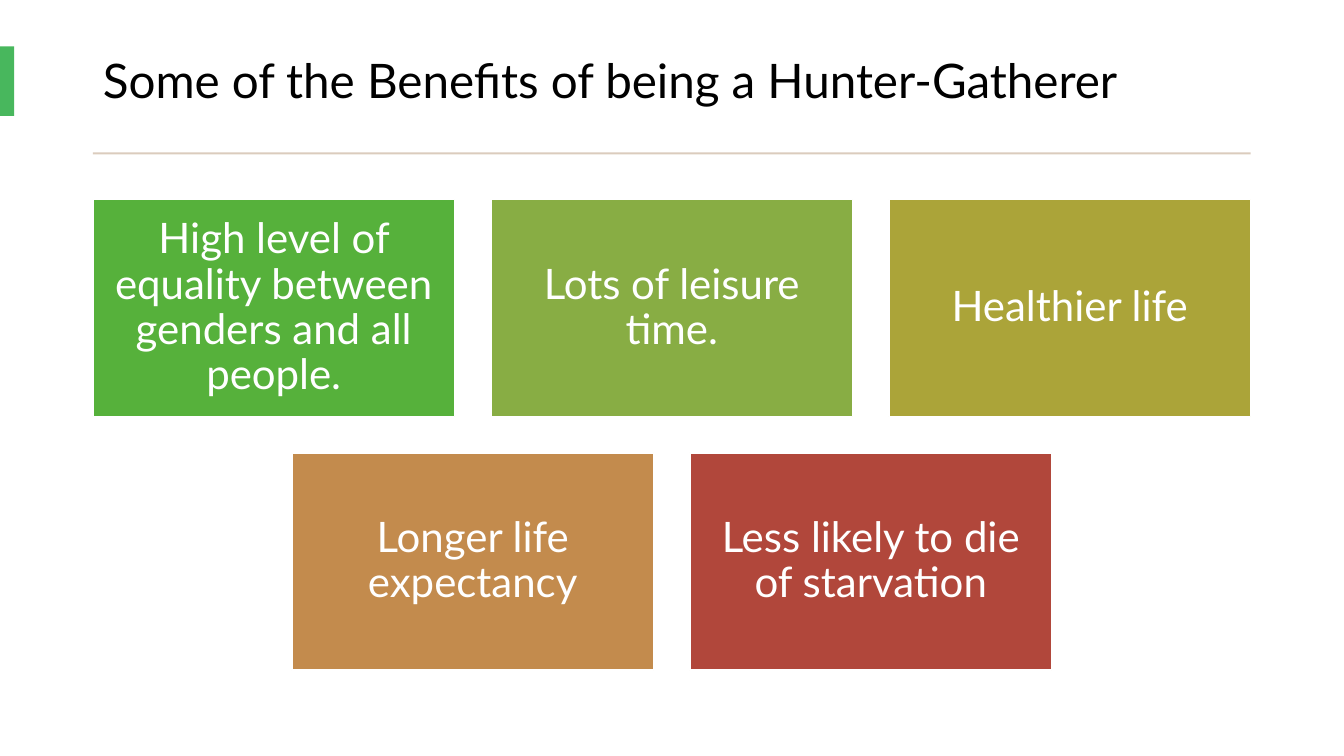
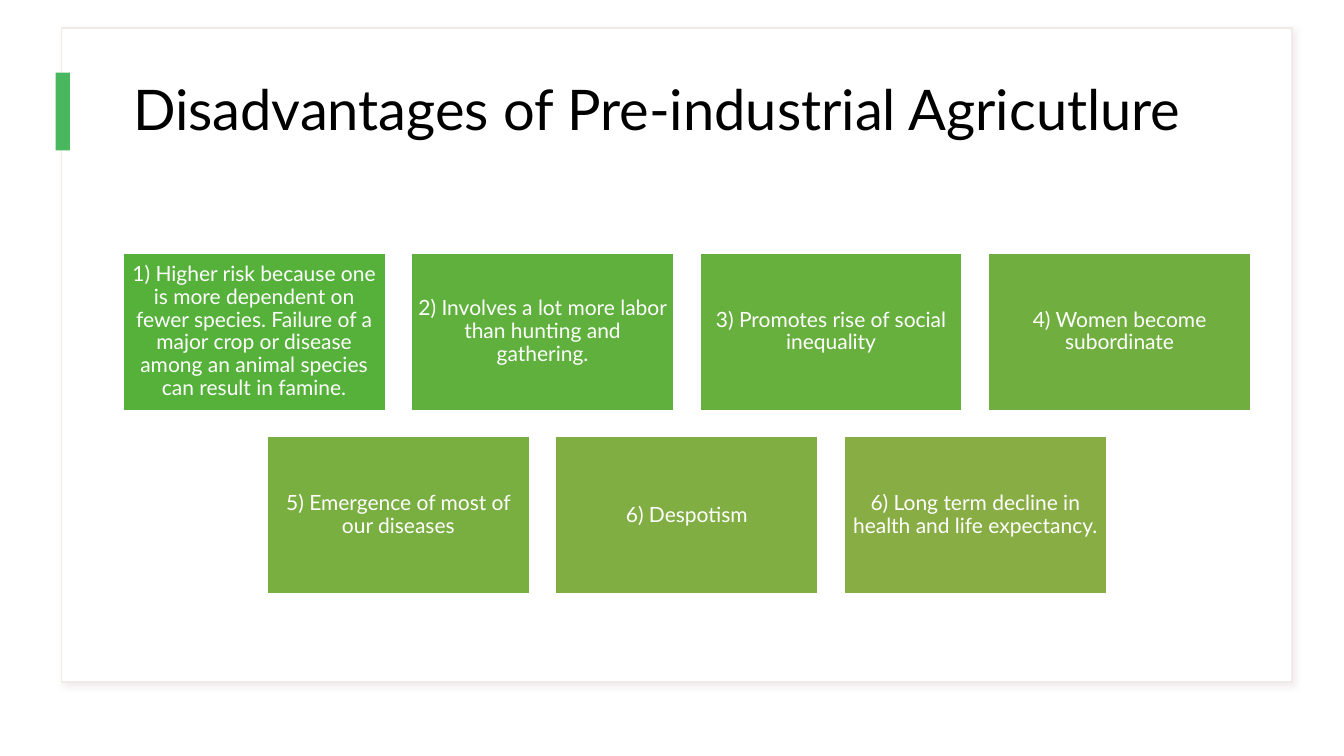
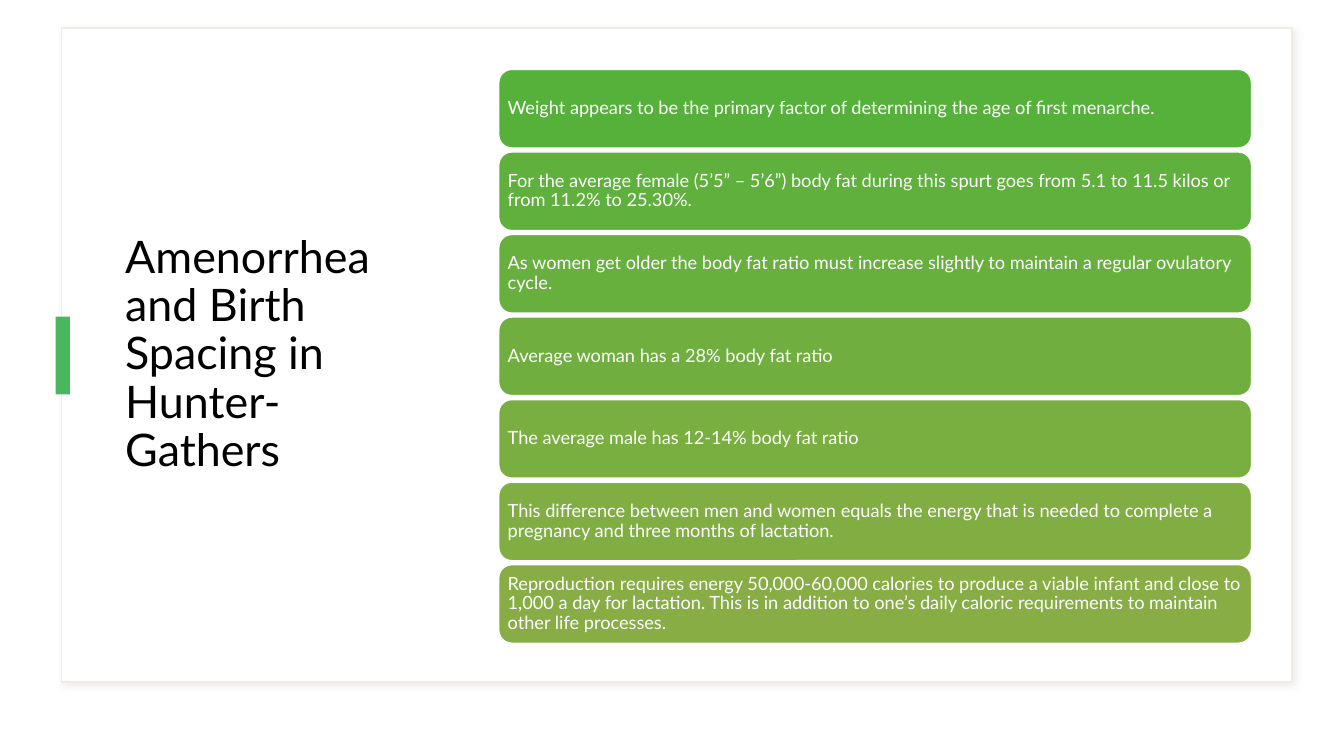
"""Build three slides on hunter-gatherers and early agriculture."""
import dataclasses

import pptx
import pptx.dml.color
import pptx.enum.shapes
import pptx.enum.text
import pptx.oxml
import pptx.util

Cm = pptx.util.Cm
Pt = pptx.util.Pt
Shape = pptx.enum.shapes.MSO_SHAPE
Align = pptx.enum.text.PP_ALIGN


@dataclasses.dataclass(frozen=True)
class Theme:
    font: str = "Lato"
    ink: str = "000000"
    paper: str = "FFFFFF"
    accent: str = "48B75D"
    rule: str = "DBCCBD"
    frame: str = "F0EBE5"
    shadow: str = "CABCC7"
    spectrum: tuple = ("56B13B", "88AD44", "ABA439", "C38B4D", "B1473B")
    greens: tuple = ("56B13B", "5FB03C", "68B03E", "70AF3F", "79AE41", "80AE42", "88AD44")
    title_wide: int = 34
    title_large: int = 40
    title_side: int = 32
    tile_large: int = 30
    tile_small: int = 15
    bar: int = 13


THEME = Theme()
SLIDE_SIZE = (33.87, 19.05)
FRAME = (1.55, 0.71, 31.01, 16.48)
TITLE_RULE = (2.34, 3.84, 29.18, 0.05)
GAP_SHARE = 0.1
HEIGHT_SHARE = 0.6

BENEFITS = {
    "title": "Some of the Benefits of being a Hunter-Gatherer",
    "title_box": (2.34, 0.69, 29.18, 2.79),
    "title_size": THEME.title_wide,
    "accent_box": (0, 1.17, 0.36, 1.75),
    "items": [
        "High level of equality between genders and all people.",
        "Lots of leisure time.",
        "Healthier life",
        "Longer life expectancy",
        "Less likely to die of starvation",
    ],
}
DISADVANTAGES = {
    "title": "Disadvantages of Pre-industrial Agricutlure",
    "title_box": (3.1, 1.42, 28.42, 2.82),
    "title_size": THEME.title_large,
    "accent_box": (1.4, 1.83, 0.36, 1.96),
    "items": [
        "1) Higher risk because one is more dependent on fewer species. "
        "Failure of a major crop or disease among an animal species can result in famine.",
        "2) Involves a lot more labor than hunting and gathering.",
        "3) Promotes rise of social inequality",
        "4) Women become subordinate",
        "5) Emergence of most of our diseases",
        "6) Despotism",
        "6) Long term decline in health and life expectancy.",
    ],
}
BIRTH_SPACING = {
    "title": "Amenorrhea and Birth Spacing in Hunter-Gathers",
    "title_box": (2.9, 1.4, 8.31, 15.11),
    "title_size": THEME.title_side,
    "accent_box": (1.4, 7.98, 0.36, 1.96),
    "items": [
        "Weight appears to be the primary factor of determining the age of first menarche.",
        "For the average female (5’5” – 5’6”) body fat during this spurt goes "
        "from 5.1 to 11.5 kilos or from 11.2% to 25.30%.",
        "As women get older the body fat ratio must increase slightly "
        "to maintain a regular ovulatory cycle.",
        "Average woman has a 28% body fat ratio",
        "The average male has 12-14% body fat ratio",
        "This difference between men and women equals the energy that is needed "
        "to complete a pregnancy and three months of lactation.",
        "Reproduction requires energy 50,000-60,000 calories to produce a viable infant "
        "and close to 1,000 a day for lactation. This is in addition to one’s daily "
        "caloric requirements to maintain other life processes.",
    ],
}


def rgb(code):
    return pptx.dml.color.RGBColor.from_string(code)


def write_text(shape, text, *, size, color, align=Align.LEFT, inset=None):
    frame = shape.text_frame
    frame.word_wrap = True
    frame.auto_size = pptx.enum.text.MSO_AUTO_SIZE.NONE
    frame.vertical_anchor = pptx.enum.text.MSO_ANCHOR.MIDDLE
    if inset is not None:
        frame.margin_left = frame.margin_right = Cm(inset)
        frame.margin_top = frame.margin_bottom = Cm(inset)
    para = frame.paragraphs[0]
    para.alignment = align
    para.line_spacing = 0.9
    span = para.add_run()
    span.text = text
    span.font.name = THEME.font
    span.font.size = Pt(size)
    span.font.color.rgb = rgb(color)


def add_block(page, box, fill, line=None, kind=Shape.RECTANGLE):
    block = page.shapes.add_shape(kind, *map(Cm, box))
    block.shadow.inherit = False
    block.fill.solid()
    block.fill.fore_color.rgb = rgb(fill)
    if line:
        block.line.color.rgb = rgb(line)
        block.line.width = Pt(1)
    else:
        block.line.fill.background()
    return block


def add_frame(page):
    frame = add_block(page, FRAME, THEME.paper, THEME.frame)
    effects = frame.element.spPr.find(pptx.oxml.ns.qn("a:effectLst"))
    effects.append(pptx.oxml.parse_xml(
        f'<a:outerShdw {pptx.oxml.ns.nsdecls("a")} blurRad="{Pt(4)}" dist="{Pt(3)}" '
        f'dir="2700000" algn="tl" rotWithShape="0"><a:srgbClr val="{THEME.shadow}">'
        '<a:alpha val="30000"/></a:srgbClr></a:outerShdw>'))
    page.shapes.title.element.addprevious(frame.element)


def add_page(deck, content, framed):
    page = deck.slides.add_slide(deck.slide_layouts.get_by_name("Title Only"))
    title = page.shapes.title
    title.left, title.top, title.width, title.height = map(Cm, content["title_box"])
    write_text(title, content["title"], size=content["title_size"], color=THEME.ink)
    if framed:
        add_frame(page)
    add_block(page, content["accent_box"], THEME.accent)
    return page


def add_tiles(page, items, fills, *, left, top, width, columns, size, inset):
    tile = width / (columns + GAP_SHARE * (columns - 1))
    height, gap = tile * HEIGHT_SHARE, tile * GAP_SHARE
    for index, (text, fill) in enumerate(zip(items, fills)):
        row, column = divmod(index, columns)
        in_row = min(columns, len(items) - row * columns)
        indent = (columns - in_row) * (tile + gap) / 2
        box = (left + indent + column * (tile + gap), top + row * (height + gap), tile, height)
        block = add_block(page, box, fill, THEME.paper)
        write_text(block, text, size=size, color=THEME.paper, align=Align.CENTER, inset=inset)


def add_bars(page, items, fills, *, left, top, width, height, gap):
    for index, (text, fill) in enumerate(zip(items, fills)):
        box = (left, top + index * (height + gap), width, height)
        bar = add_block(page, box, fill, THEME.paper, Shape.ROUNDED_RECTANGLE)
        write_text(bar, text, size=THEME.bar, color=THEME.paper, inset=0.13)


def main():
    deck = pptx.Presentation()
    deck.slide_width, deck.slide_height = map(Cm, SLIDE_SIZE)

    page = add_page(deck, BENEFITS, framed=False)
    add_block(page, TITLE_RULE, THEME.rule)
    add_tiles(page, BENEFITS["items"], THEME.spectrum, left=2.34, top=5.03, width=29.18,
              columns=3, size=THEME.tile_large, inset=0.3)

    page = add_page(deck, DISADVANTAGES, framed=True)
    add_tiles(page, DISADVANTAGES["items"], THEME.greens, left=3.1, top=6.38, width=28.42,
              columns=4, size=THEME.tile_small, inset=0.15)

    page = add_page(deck, BIRTH_SPACING, framed=True)
    add_bars(page, BIRTH_SPACING["items"], THEME.greens, left=12.57, top=1.75, width=18.97,
             height=1.98, gap=0.1)

    deck.save("out.pptx")


if __name__ == "__main__":
    main()
